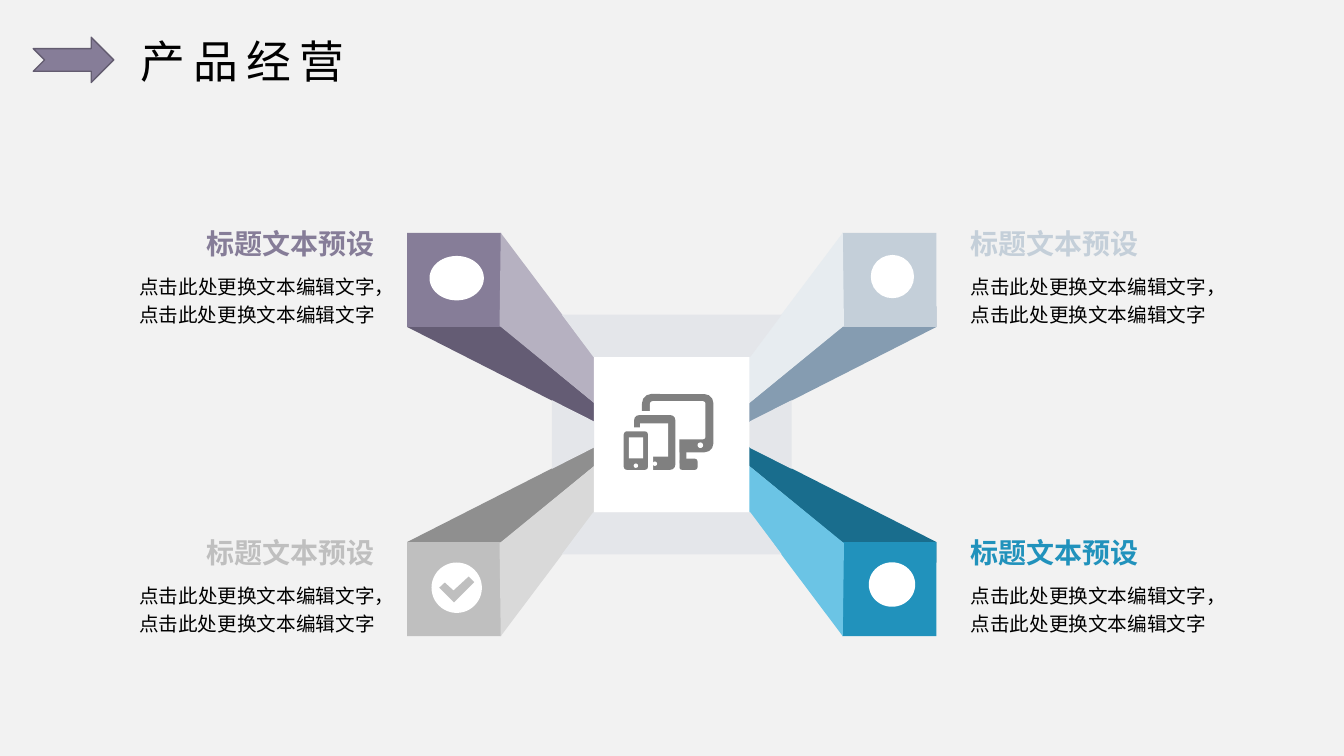
"""Build the product operations slide with four perspective arms around a device icon."""
from lxml import etree
from pptx import Presentation
from pptx.dml.color import RGBColor
from pptx.enum.shapes import MSO_SHAPE
from pptx.enum.text import MSO_ANCHOR, PP_ALIGN
from pptx.oxml.ns import qn
from pptx.util import Cm, Pt

RECTANGLE = MSO_SHAPE.RECTANGLE
ROUNDED = MSO_SHAPE.ROUNDED_RECTANGLE
OVAL = MSO_SHAPE.OVAL
TRAPEZOID = MSO_SHAPE.TRAPEZOID
NOTCHED_ARROW = MSO_SHAPE.NOTCHED_RIGHT_ARROW
LEFT, RIGHT = PP_ALIGN.LEFT, PP_ALIGN.RIGHT
TOP, MIDDLE = MSO_ANCHOR.TOP, MSO_ANCHOR.MIDDLE

FONT = "Noto Sans CJK SC"
COLORS = {
    "background": "F2F2F2", "text": "000000", "white": "FFFFFF",
    "outline": "635C70", "device": "808080", "recess": "E4E6EA",
    "purple": "867D98", "purple dark": "645C74", "purple light": "B6B1C1",
    "mist": "C4CFD9", "mist dark": "859CB1", "mist light": "E7ECF0",
    "grey": "BFBFBF", "grey dark": "8F8F8F", "grey light": "D9D9D9",
    "blue": "2192BC", "blue dark": "196D8D", "blue light": "6BC4E5",
}

CENTER_X, CENTER_Y = 16.93, 10.95
BLOCK = 2.37
OUTER_X, OUTER_Y = 6.67, 5.08
DARK_SIDE = [(6.67, 3.23), (4.92, 3.23), (1.73, 0.61), (1.73, 0.2), (6.67, 2.71)]
LIGHT_SIDE = [(4.31, 5.08), (1.73, 1.65), (1.73, 0.61), (4.34, 2.74)]
HEADING = "标题文本预设"
BODY = "点击此处更换文本编辑文字，点击此处更换文本编辑文字"

ARMS = [
    ("purple", -1, -1, (11.51, 7.01, 1.37, 1.12)),
    ("mist", 1, -1, (22.49, 6.97, 1.09, 1.09)),
    ("grey", -1, 1, (11.51, 14.81, 1.27, 1.27)),
    ("blue", 1, 1, (22.48, 14.73, 1.17, 1.12)),
]
RECESSES = [
    (0, -2.49, 5.54, 180, 0.747),
    (0, 2.49, 5.54, 0, 0.747),
    (2.49, 0, 1.73, 270, 0.505),
    (-2.49, 0, 1.73, 90, 0.505),
]
CHECK_MARK = [(11.07, 14.81), (11.21, 14.68), (11.43, 14.88),
              (11.81, 14.53), (11.95, 14.67), (11.44, 15.18)]
DEVICES = [
    (ROUNDED, "device", 16.18, 9.93, 1.8, 1.47, 0.23),
    (ROUNDED, "white", 16.38, 10.11, 1.4, 0.96, 0.07),
    (RECTANGLE, "device", 17.12, 11.38, 0.18, 0.3, 0),
    (ROUNDED, "device", 17.12, 11.56, 0.46, 0.28, 0.07),
    (OVAL, "white", 17.58, 11.15, 0.14, 0.14, 0),
    (RECTANGLE, "white", 15.88, 10.36, 1.24, 1.48, 0),
    (ROUNDED, "device", 15.98, 10.46, 1.04, 1.38, 0.13),
    (RECTANGLE, "white", 16.13, 10.67, 0.71, 0.84, 0),
    (OVAL, "white", 16.45, 11.63, 0.11, 0.11, 0),
    (RECTANGLE, "white", 15.7, 10.77, 0.76, 1.08, 0),
    (ROUNDED, "device", 15.72, 10.87, 0.61, 0.97, 0.08),
    (RECTANGLE, "white", 15.85, 11.02, 0.36, 0.53, 0),
    (OVAL, "white", 15.97, 11.68, 0.11, 0.11, 0),
]


def rgb(name):
    return RGBColor.from_string(COLORS[name])


def write(paragraph, text, size, color="text", bold=False, align=LEFT,
          line_spacing=None, tracking=None):
    paragraph.alignment = align
    if line_spacing:
        paragraph.line_spacing = line_spacing
    run = paragraph.add_run()
    run.text = text
    run.font.name = FONT
    run.font.size = Pt(size)
    run.font.bold = bold
    run.font.color.rgb = rgb(color)
    properties = run._r.get_or_add_rPr()
    etree.SubElement(properties, qn("a:ea")).set("typeface", FONT)
    if tracking:
        properties.set("spc", str(tracking * 100))


class SlideBuilder:
    def __init__(self, slide):
        self.slide = slide
        self.slide.background.fill.solid()
        self.slide.background.fill.fore_color.rgb = rgb("background")

    def paint(self, shape, color, line=None):
        shape.shadow.inherit = False
        shape.fill.solid()
        shape.fill.fore_color.rgb = rgb(color)
        if line:
            shape.line.color.rgb = rgb(line)
            shape.line.width = Pt(1)
        else:
            shape.line.fill.background()

    def shape(self, kind, color, left, top, width, height, line=None,
              adjustment=None, rotation=0):
        shape = self.slide.shapes.add_shape(
            kind, Cm(left), Cm(top), Cm(width), Cm(height))
        self.paint(shape, color, line)
        if adjustment is not None:
            shape.adjustments[0] = adjustment
        shape.rotation = rotation

    def polygon(self, color, points):
        corners = [(Cm(x), Cm(y)) for x, y in points]
        builder = self.slide.shapes.build_freeform(*corners[0])
        builder.add_line_segments(corners[1:], close=True)
        self.paint(builder.convert_to_shape(), color)

    def text(self, text, left, top, width, height, anchor=TOP,
             inset=(0.2, 0), **text_format):
        box = self.slide.shapes.add_textbox(
            Cm(left), Cm(top), Cm(width), Cm(height))
        frame = box.text_frame
        frame.word_wrap = True
        frame.vertical_anchor = anchor
        frame.margin_left = frame.margin_right = Cm(inset[0])
        frame.margin_top = frame.margin_bottom = Cm(inset[1])
        write(frame.paragraphs[0], text, **text_format)

    def arm(self, color, side_x, side_y, icon):
        def mirror(points):
            return [(CENTER_X + side_x * x, CENTER_Y + side_y * y)
                    for x, y in points]

        self.polygon(f"{color} dark", mirror(DARK_SIDE))
        block_x, block_y = mirror([(OUTER_X - BLOCK / 2, OUTER_Y - BLOCK / 2)])[0]
        self.shape(RECTANGLE, color, block_x - BLOCK / 2, block_y - BLOCK / 2,
                   BLOCK, BLOCK)
        self.polygon(f"{color} light", mirror(LIGHT_SIDE))
        icon_x, icon_y, width, height = icon
        self.shape(OVAL, "white", icon_x - width / 2, icon_y - height / 2,
                   width, height)

        left, align = (2.82, RIGHT) if side_x < 0 else (24.26, LEFT)
        top = 5.71 if side_y < 0 else 13.49
        self.text(BODY, left, top + 0.99, 6.83, 1.63, anchor=MIDDLE,
                  size=14, align=align, line_spacing=1.2)
        self.text(HEADING, left, top, 6.83, 0.69,
                  size=20, color=color, bold=True, align=align)


def main():
    presentation = Presentation()
    presentation.slide_width, presentation.slide_height = Cm(33.87), Cm(19.05)
    builder = SlideBuilder(
        presentation.slides.add_slide(presentation.slide_layouts[6]))

    builder.shape(NOTCHED_ARROW, "purple", 0.84, 0.94, 2.03, 1.14, line="outline")
    builder.text("产品经营", 3.28, 0.71, 10.08, 1.63, inset=(0.25, 0.13),
                 size=32, tracking=6)

    for arm in ARMS:
        builder.arm(*arm)
    builder.polygon("grey", CHECK_MARK)

    builder.shape(RECTANGLE, "white", CENTER_X - 1.96, CENTER_Y - 1.96, 3.92, 3.92)
    for x, y, width, rotation, adjustment in RECESSES:
        builder.shape(TRAPEZOID, "recess", CENTER_X + x - width / 2,
                      CENTER_Y + y - 0.53, width, 1.06,
                      adjustment=adjustment, rotation=rotation)
    for kind, color, left, top, width, height, radius in DEVICES:
        adjustment = radius / min(width, height) if kind == ROUNDED else None
        builder.shape(kind, color, left, top, width, height, adjustment=adjustment)

    presentation.save("out.pptx")


if __name__ == "__main__":
    main()
